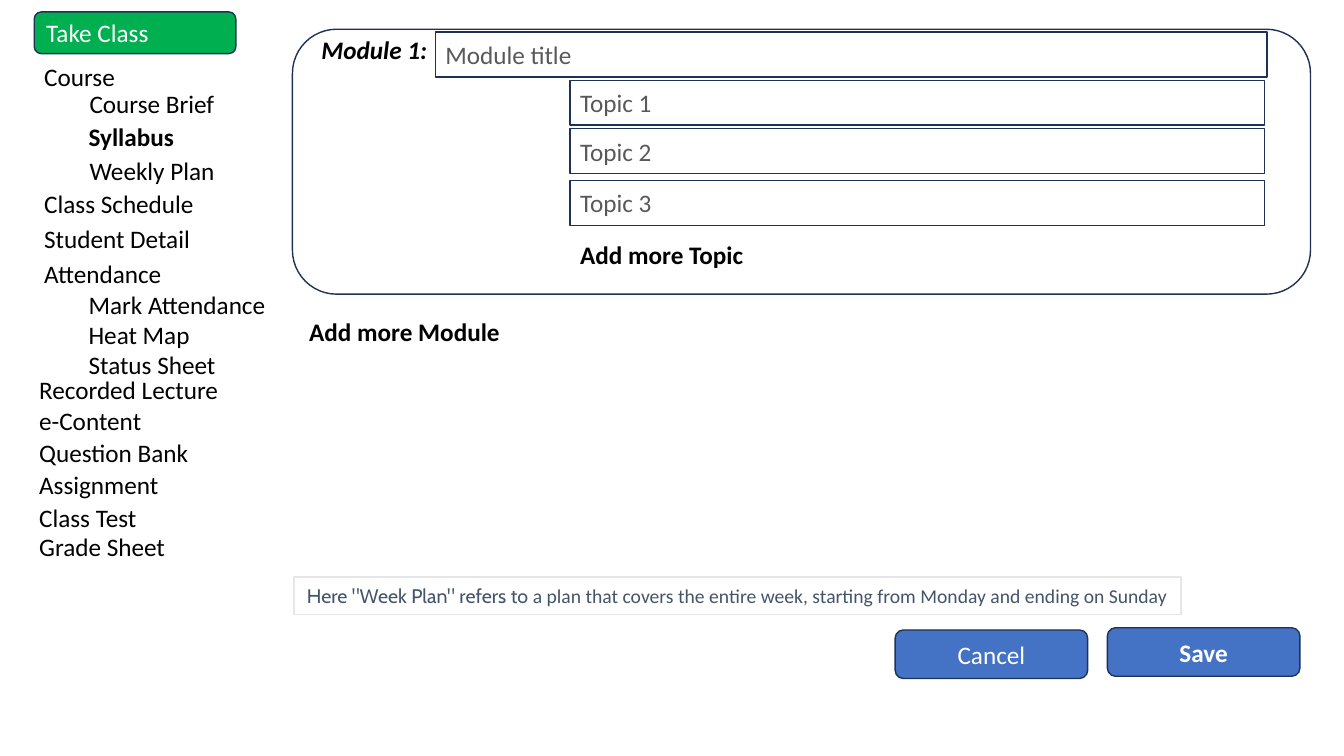
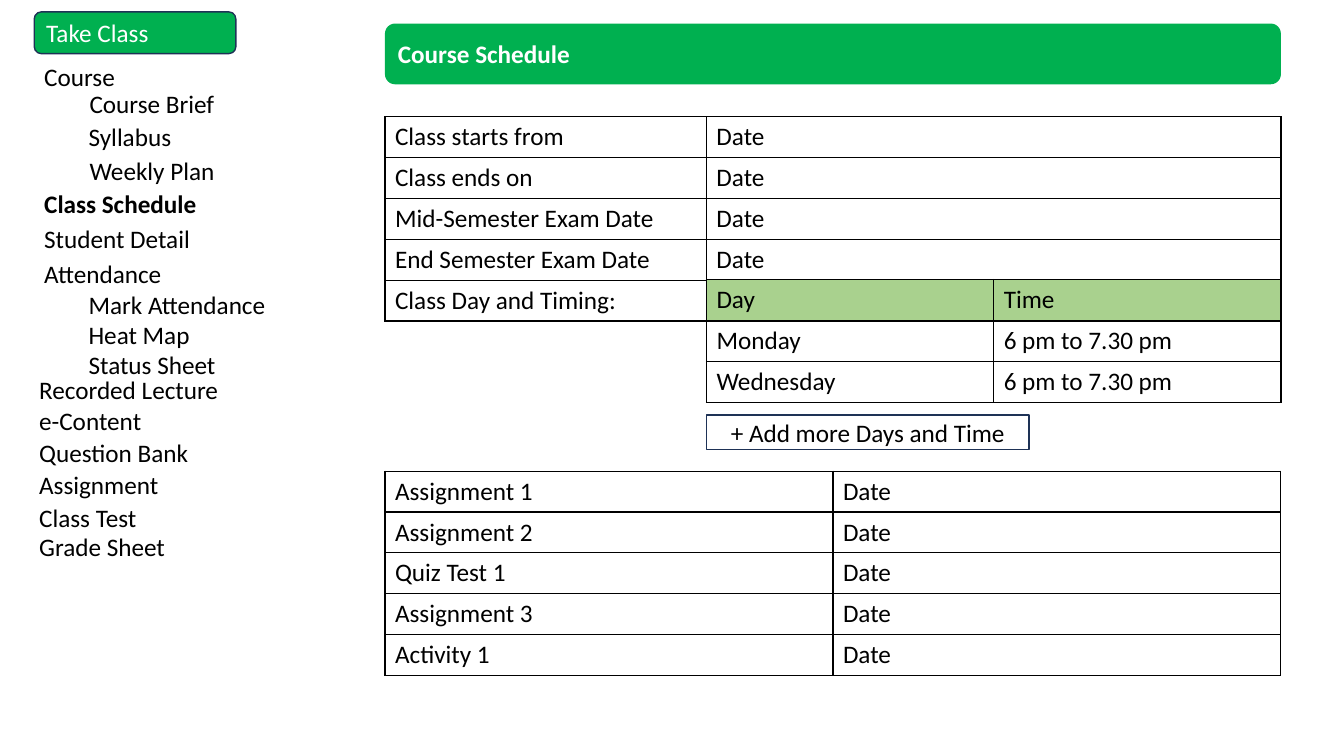
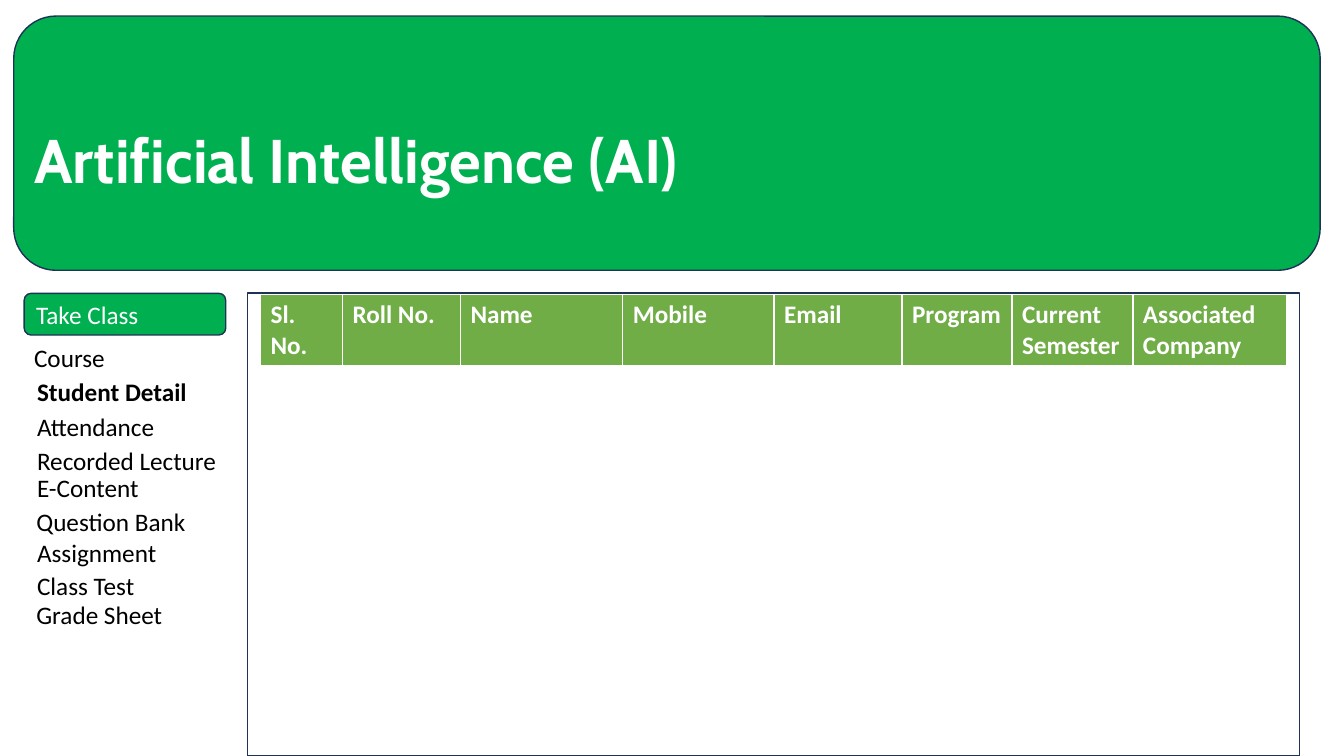
from dataclasses import dataclass

from lxml import etree
from pptx import Presentation
from pptx import util as u
from pptx.dml import color as dml
from pptx.enum import shapes, text
from pptx.oxml import ns


@dataclass(frozen=True)
class Theme:
    green: str = "00B050"
    blue: str = "4472C4"
    outline: str = "1E3256"
    note_line: str = "E7E6E6"
    note_text: str = "44546A"
    field_text: str = "595959"
    day_header: str = "A9D18E"
    student_header: str = "70AD47"
    black: str = "000000"
    white: str = "FFFFFF"
    font: str = "Calibri"
    accent_font: str = "Cabin"
    body: int = 18
    note: int = 14
    headline: int = 44


T = Theme()
SLIDE_SIZE = (960, 540)
LINE_H = 29.2
LEFT, CENTER = text.PP_ALIGN.LEFT, text.PP_ALIGN.CENTER
RECT, ROUND = shapes.MSO_SHAPE.RECTANGLE, shapes.MSO_SHAPE.ROUNDED_RECTANGLE

# Navigation: left, top, lines
NAV_W = 150
COURSE_BUTTON = (24.5, 8.5)
COURSE_NAV = [
    (24.5, 40.3, ["Course"]),
    (56.9, 59.8, ["Course Brief"]),
    (56.2, 83.2, ["Syllabus"]),
    (56.9, 107.7, ["Weekly Plan"]),
    (24.5, 131, ["Class Schedule"]),
    (24.5, 155.8, ["Student Detail"]),
    (24.5, 180.9, ["Attendance"]),
    (56.2, 203, ["Mark Attendance", "Heat Map", "Status Sheet"]),
    (20.9, 263.9, ["Recorded Lecture"]),
    (20.9, 286.1, ["e-Content"]),
    (20.9, 308.9, ["Question Bank"]),
    (20.9, 331.5, ["Assignment"]),
    (20.9, 355, ["Class Test"]),
    (20.9, 375.8, ["Grade Sheet"]),
]
STUDENT_BUTTON = (17.3, 209.5)
STUDENT_NAV = [
    (17.3, 240.8, ["Course"]),
    (19.4, 265, ["Student Detail"]),
    (19.4, 290, ["Attendance"]),
    (19.4, 314.5, ["Recorded Lecture"]),
    (19.4, 333.7, ["E-Content"]),
    (18.9, 358, ["Question Bank"]),
    (19.4, 380.3, ["Assignment"]),
    (19.4, 403.9, ["Class Test"]),
    (18.9, 424.8, ["Grade Sheet"]),
]

# Syllabus form
FIELDS = [
    ("Module title", (311, 23, 594, 32)),
    ("Topic 1", (407.3, 57.4, 496, 32)),
    ("Topic 2", (407.3, 91.8, 496, 32)),
    ("Topic 3", (407.3, 128.9, 496, 32)),
]
ADD_LINKS = [("Add more Module", 213.8, 222.7), ("Add more Topic", 407.3, 167.3)]
FORM_BUTTONS = [("Save", 791, 448.4, True), ("Cancel", 639.4, 450, False)]
NOTE = [
    ('Here "Week Plan" refers to ', T.accent_font),
    ("a plan that covers the entire week, starting from Monday and ending on Sunday",
     T.font),
]

# Schedule tables
PANEL_LEFT, PANEL_W, LABEL_W = 275, 640, 229.6
DAYS_LEFT, DAYS_W = PANEL_LEFT + LABEL_W, PANEL_W - LABEL_W
KEY_DATES = [
    ("Class starts from", "Date"),
    ("Class ends on", "Date"),
    ("Mid-Semester Exam Date", "Date"),
    ("End Semester Exam Date", "Date"),
    ("Class Day and Timing:", ""),
]
CLASS_DAYS = [
    ("Day", "Time"),
    ("Monday", "6 pm to 7.30 pm"),
    ("Wednesday", "6 pm to 7.30 pm"),
]
TASKS = ["Assignment 1", "Assignment 2", "Quiz Test 1", "Assignment 3", "Activity 1"]
TASK_DATES = [(task, "Date") for task in TASKS]

# Student table: heading, column width
STUDENT_COLUMNS = [
    ("Sl. No.", 58.6), ("Roll No.", 84.2), ("Name", 116), ("Mobile", 108),
    ("Email", 91.4), ("Program", 78.6), ("Current Semester", 86.4),
    ("Associated Company", 110),
]


def rgb(value):
    return dml.RGBColor.from_string(value)


def place(box):
    return [u.Pt(length) for length in box]


def write(frame, lines, align=LEFT, color=T.black, **formats):
    """Fill a text frame; each line is a list of (words, font name) runs or a string."""
    frame.word_wrap = True
    for i, line in enumerate(lines):
        paragraph = frame.paragraphs[0] if i == 0 else frame.add_paragraph()
        paragraph.alignment = align
        runs = [(line, T.font)] if isinstance(line, str) else line
        for words, font_name in runs:
            run = paragraph.add_run()
            run.text = words
            settings = {"name": font_name, "size": u.Pt(T.body), "bold": False, **formats}
            for key, value in settings.items():
                setattr(run.font, key, value)
            run.font.color.rgb = rgb(color)


def add_label(slide, box, lines, **formats):
    label = slide.shapes.add_textbox(*place(box))
    write(label.text_frame, lines, **formats)
    label.text_frame.auto_size = text.MSO_AUTO_SIZE.SHAPE_TO_FIT_TEXT


def add_panel(slide, kind, box, fill=None, line=T.outline, lines=(), **formats):
    panel = slide.shapes.add_shape(kind, *place(box))
    panel.shadow.inherit = False
    if fill:
        panel.fill.solid()
        panel.fill.fore_color.rgb = rgb(fill)
    else:
        panel.fill.background()
    if line:
        panel.line.color.rgb = rgb(line)
        panel.line.width = u.Pt(1)
    else:
        panel.line.fill.background()
    panel.text_frame.vertical_anchor = text.MSO_ANCHOR.MIDDLE
    write(panel.text_frame, lines, **formats)
    return panel


def set_title(slide, box, words, behind=None, anchor=text.MSO_ANCHOR.TOP, **formats):
    title = slide.shapes.title
    title.left, title.top, title.width, title.height = place(box)
    title.text_frame.vertical_anchor = anchor
    title.text_frame.auto_size = text.MSO_AUTO_SIZE.NONE
    write(title.text_frame, [words], **formats)
    if behind is not None:
        behind.element.addnext(title.element)


def set_border(cell, color, widths):
    props = cell._tc.get_or_add_tcPr()
    for side, width in zip("LRTB", widths):
        edge = etree.SubElement(props, ns.qn(f"a:ln{side}"), w=str(u.Pt(width)))
        solid = etree.SubElement(edge, ns.qn("a:solidFill"))
        etree.SubElement(solid, ns.qn("a:srgbClr"), val=color)


def add_grid(slide, left, top, widths, rows, row_h=LINE_H, header=None,
             border=T.black, border_widths=(1, 1, 1, 1), **formats):
    box = (left, top, sum(widths), row_h * len(rows))
    table = slide.shapes.add_table(len(rows), len(widths), *place(box)).table
    table.first_row = table.horz_banding = False
    for column, width in zip(table.columns, widths):
        column.width = u.Pt(width)
    for r, row in enumerate(rows):
        table.rows[r].height = u.Pt(row_h)
        for c, words in enumerate(row):
            cell = table.cell(r, c)
            set_border(cell, border, border_widths)
            if header and r == 0:
                cell.fill.solid()
                cell.fill.fore_color.rgb = rgb(header)
            else:
                cell.fill.background()
            if words:
                write(cell.text_frame, [words], **formats)


def add_navigation(slide, button, items, active):
    add_panel(slide, ROUND, (*button, 144, 29.8), T.green,
              lines=["Take Class"], color=T.white)
    for left, top, lines in items:
        add_label(slide, (left, top, NAV_W, LINE_H * len(lines)), lines,
                  bold=active in lines)


def build_syllabus(slide):
    set_title(slide, (222.3, 20.9, 98.6, LINE_H), "Module 1:", bold=True, italic=True)
    for left, top, words, bold in [(x, y, w, b) for w, x, y, b in FORM_BUTTONS]:
        add_panel(slide, ROUND, (left, top, 137.5, 34.6), T.blue, lines=[words],
                  align=CENTER, color=T.white, bold=bold)
    add_panel(slide, RECT, (209.9, 412.3, 633.6, 26.6), line=T.note_line, lines=[NOTE],
              align=CENTER, color=T.note_text, size=u.Pt(T.note))
    add_panel(slide, ROUND, (208.9, 20.9, 727.2, 189.2))
    for words, box in FIELDS:
        add_panel(slide, RECT, box, lines=[words], color=T.field_text)
    for words, left, top in ADD_LINKS:
        add_label(slide, (left, top, 193.7, LINE_H), [words], bold=True)
    add_navigation(slide, COURSE_BUTTON, COURSE_NAV, "Syllabus")


def build_schedule(slide):
    band_top, band_h = 16.8, 43.4
    band = add_panel(slide, ROUND, (PANEL_LEFT, band_top, PANEL_W, band_h), T.green, None)
    set_title(slide, (PANEL_LEFT + 2, band_top, PANEL_W - 4, band_h), "Course Schedule",
              behind=band, anchor=text.MSO_ANCHOR.MIDDLE, color=T.white, bold=True)
    add_grid(slide, PANEL_LEFT, 83.3, [LABEL_W, DAYS_W], KEY_DATES)
    add_grid(slide, DAYS_LEFT, 199.7, [DAYS_W / 2] * 2, CLASS_DAYS, header=T.day_header)
    add_panel(slide, RECT, (DAYS_LEFT, 296.5, 230.5, 24.5), T.white,
              lines=["+ Add more Days and Time"], align=CENTER)
    add_grid(slide, PANEL_LEFT, 336.5, [PANEL_W / 2] * 2, TASK_DATES)
    add_navigation(slide, COURSE_BUTTON, COURSE_NAV, "Class Schedule")


def build_students(slide):
    headings, widths = zip(*STUDENT_COLUMNS)
    add_panel(slide, RECT, (177, 209.3, 751.2, 330.7), T.white)
    add_grid(slide, 186.1, 210.2, widths, [headings], row_h=52, header=T.student_header,
             border=T.white, border_widths=(1, 1, 1, 3), color=T.white, bold=True)
    banner = add_panel(slide, ROUND, (9.8, 11.5, 933.2, 181.6), T.green)
    set_title(slide, (17.3, 83.3, 657.4, 60.6), "Artificial Intelligence (AI)",
              behind=banner, color=T.white, bold=True, name=T.accent_font,
              size=u.Pt(T.headline))
    add_navigation(slide, STUDENT_BUTTON, STUDENT_NAV, "Student Detail")


def main():
    deck = Presentation()
    deck.slide_width, deck.slide_height = place(SLIDE_SIZE)
    title_only = deck.slide_layouts[5]
    for build in (build_syllabus, build_schedule, build_students):
        build(deck.slides.add_slide(title_only))
    deck.save("out.pptx")


if __name__ == "__main__":
    main()
